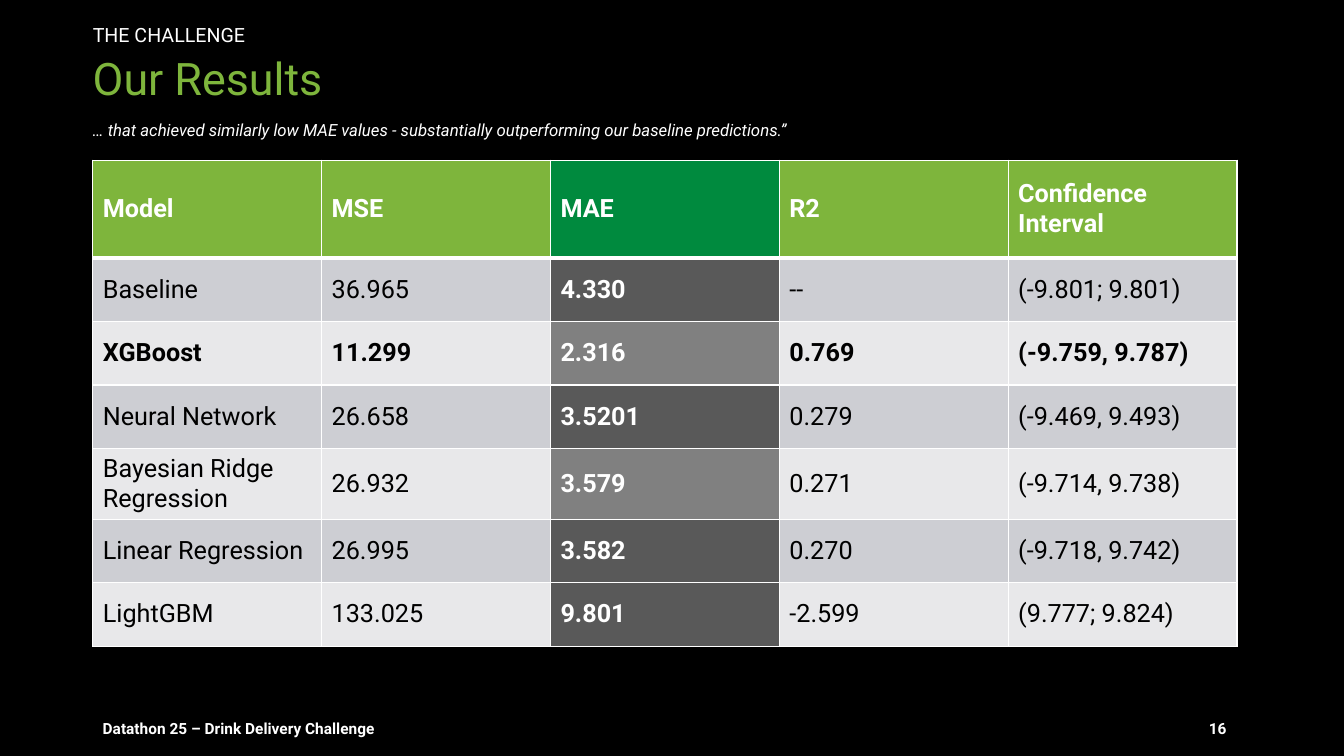
"""Build the results slide that compares the models of the challenge."""
import pptx
import pptx.dml.color
import pptx.enum.text
import pptx.oxml
import pptx.oxml.ns
import pptx.util
from pptx.util import Inches

WHITE, BLACK, GREEN = "FFFFFF", "000000", "7EB53C"
DARK_GREEN, DARK_GRAY, MID_GRAY = "008A3E", "595959", "808080"
BANDS = ["CDCED3", "E8E8EA"]
MAE_COLUMN = 2
TOP = pptx.enum.text.MSO_ANCHOR.TOP
MIDDLE = pptx.enum.text.MSO_ANCHOR.MIDDLE


def paint(color_format, color):
    color_format.rgb = pptx.dml.color.RGBColor.from_string(color)


def write(frame, text, size, color, bold=False, italic=False):
    para = frame.paragraphs[0]
    para.text = text
    para.font.name = "Roboto"
    para.font.size = pptx.util.Pt(size)
    para.font.bold = bold
    para.font.italic = italic
    paint(para.font.color, color)
    return para


deck = pptx.Presentation()
deck.slide_width, deck.slide_height = Inches(13.33), Inches(7.5)
page = deck.slides.add_slide(deck.slide_layouts[6])
page.background.fill.solid()
paint(page.background.fill.fore_color, BLACK)

quote = "… that achieved similarly low MAE values - substantially outperforming our baseline predictions.”"
labels = [
    ("Datathon 25 – Drink Delivery Challenge", (0.92, 7.08, 4.92, 0.29), (0.1, 0.05), TOP, 11, WHITE, True, False, 1),
    ("16", (11.89, 7.03, 0.52, 0.4), (0.1, 0.05), MIDDLE, 11, WHITE, True, False, 1),
    ("THE CHALLENGE", (0.92, 0.2, 11.49, 0.31), (0, 0), MIDDLE, 14, WHITE, False, False, 0.9),
    ("Our Results", (0.92, 0.52, 11.5, 0.67), (0, 0.04), TOP, 32, GREEN, False, False, 0.9),
    (quote, (0.92, 1.19, 11.5, 0.39), (0, 0), TOP, 12, WHITE, False, True, 1),
]
for text, place, (side, edge), anchor, size, color, bold, italic, spacing in labels:
    frame = page.shapes.add_textbox(*map(Inches, place)).text_frame
    frame.word_wrap = True
    frame.vertical_anchor = anchor
    frame.margin_left = frame.margin_right = Inches(side)
    frame.margin_top = frame.margin_bottom = Inches(edge)
    para = write(frame, text, size, color, bold, italic)
    para.line_spacing = spacing

results = [
    ["Model", "MSE", "MAE", "R2", "Confidence Interval"],
    ["Baseline", "36.965", "4.330", "--", "(-9.801; 9.801)"],
    ["XGBoost", "11.299", "2.316", "0.769", "(-9.759, 9.787)"],
    ["Neural Network", "26.658", "3.5201", "0.279", "(-9.469, 9.493)"],
    ["Bayesian Ridge Regression", "26.932", "3.579", "0.271", "(-9.714, 9.738)"],
    ["Linear Regression", "26.995", "3.582", "0.270", "(-9.718, 9.742)"],
    ["LightGBM", "133.025", "9.801", "-2.599", "(9.777; 9.824)"],
]
table = page.shapes.add_table(
    len(results), len(results[0]), Inches(0.92), Inches(1.59), Inches(11.36), Inches(4.75)
).table
for column in table.columns:
    column.width = Inches(2.27)

for row_index, values in enumerate(results):
    header = row_index == 0
    best = values[0] == "XGBoost"
    last = row_index == len(results) - 1
    table.rows[row_index].height = Inches(0.97 if header else 0.63)
    for column_index, value in enumerate(values):
        cell = table.cell(row_index, column_index)
        cell.vertical_anchor = MIDDLE
        mae = column_index == MAE_COLUMN
        if header:
            fill = DARK_GREEN if mae else GREEN
        elif mae:
            fill = DARK_GRAY if row_index % 2 or last else MID_GRAY
        else:
            fill = BANDS[(row_index - 1) % 2]
        write(cell.text_frame, value, 18, WHITE if header or mae else BLACK, header or mae or best)

        properties = cell._tc.get_or_add_tcPr()
        for side in "LRTB":
            thick = (row_index, side) in [(0, "B"), (1, "T")]
            width = pptx.util.Pt(3 if thick else 1)
            properties.append(pptx.oxml.parse_xml(
                f'<a:ln{side} {pptx.oxml.ns.nsdecls("a")} w="{width}">'
                f'<a:solidFill><a:srgbClr val="{WHITE}"/></a:solidFill></a:ln{side}>'
            ))
        cell.fill.solid()
        paint(cell.fill.fore_color, fill)

deck.save("out.pptx")
